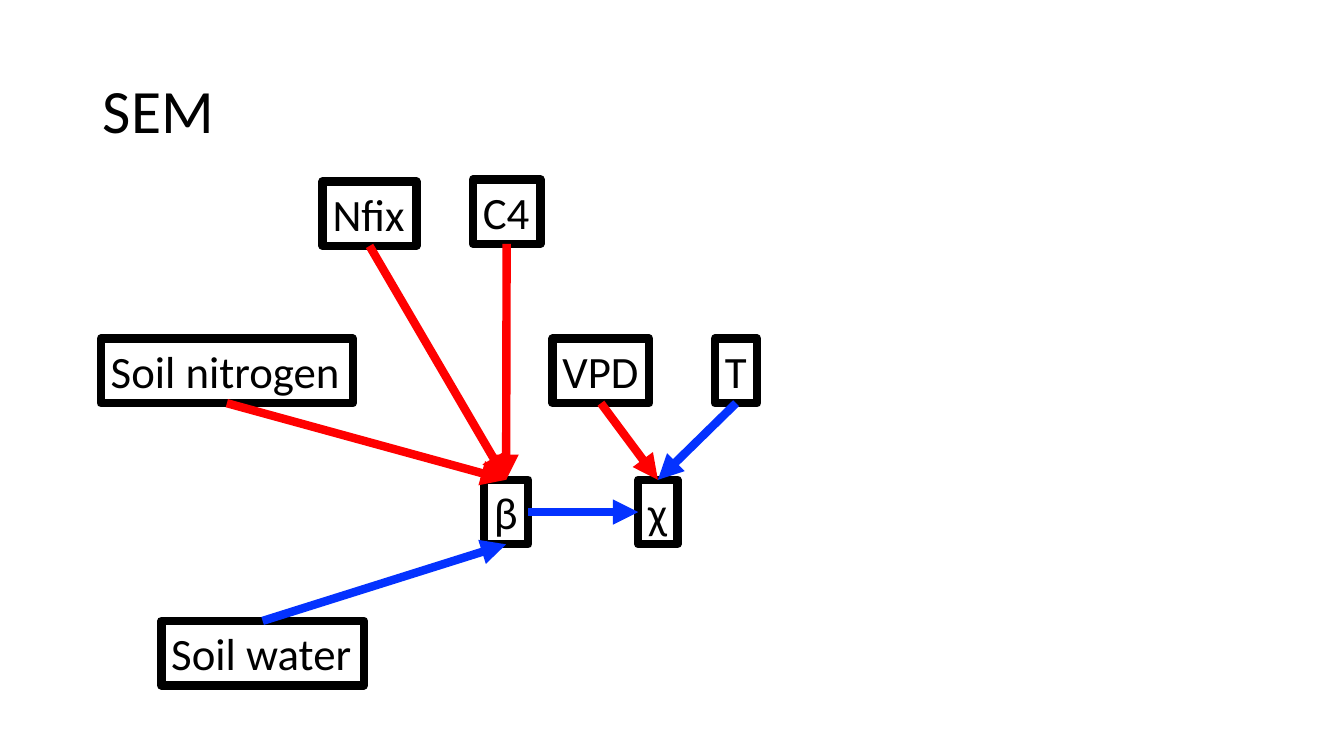
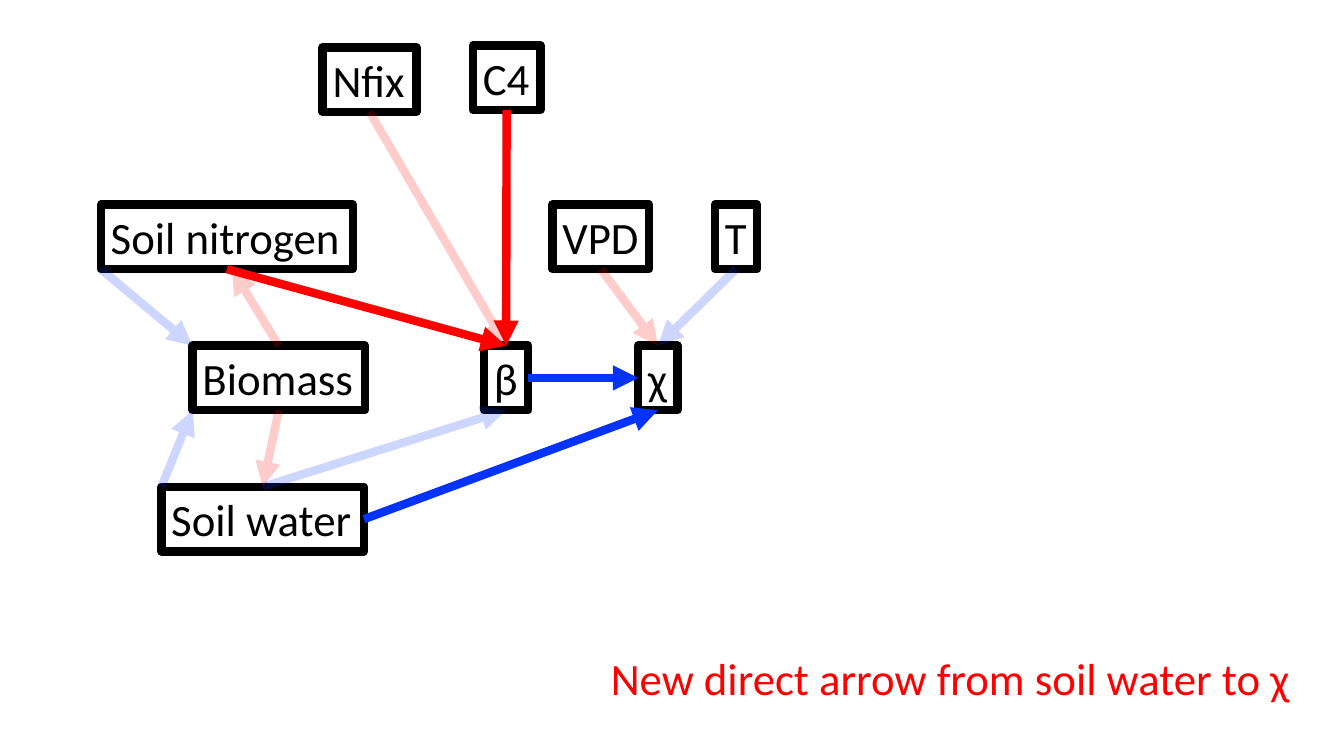
import lxml.etree
import pptx
import pptx.dml.color
import pptx.enum.shapes
import pptx.enum.text
import pptx.oxml.ns
import pptx.util
from pptx.util import Inches

# Shared style
FONT = "Calibri"
BLACK, RED, BLUE = "000000", "FF0000", "0432FF"
LINE_WIDTH = pptx.util.Pt(6)
BOX_HEIGHT = 0.64
FAINT = 20  # opacity in percent

# Variables shared by both models: left, top, width on the first slide
VARIABLES = {
    "Soil nitrogen": (1, 3.36, 2.5),
    "β": (4.8, 4.76, 0.44),
    "Soil water": (1.6, 6.16, 2.01),
    "χ": (6.33, 4.76, 0.39),
    "VPD": (5.48, 3.36, 0.96),
    "T": (7.09, 3.36, 0.42),
    "Nfix": (3.2, 1.8, 0.93),
    "C4": (4.69, 1.78, 0.67),
}
BIOMASS = {"Biomass": (1.91, 4.76, 1.71)}
RAISED = -1.33  # shift of the diagram on the slide without a title

# Connection sites, then box positions as fractions of width and height
SIDES = {"top": 0, "left": 1, "bottom": 2, "right": 3}
SPOTS = {"top left": (0, 0), "bottom left": (0, 1), "near bottom": (0.52, 1)}

# Arrows: source, its side, target, its side, colour
SHARED_ARROWS = [
    ("Soil nitrogen", "bottom", "β", "top", RED),
    ("Soil water", "top", "β", "bottom", BLUE),
    ("β", "right", "χ", "left", BLUE),
    ("VPD", "bottom", "χ", "top", RED),
    ("T", "bottom", "χ", "top", BLUE),
    ("Nfix", "bottom", "β", "top", RED),
    ("C4", "bottom", "β", "top", RED),
]
BIOMASS_ARROWS = [
    ("Biomass", "bottom", "Soil water", "top", RED),
    ("Soil nitrogen", "bottom left", "Biomass", "top left", BLUE),
    ("Biomass", "top", "Soil nitrogen", "near bottom", RED),
    ("Soil water", "top left", "Biomass", "bottom left", BLUE),
]
DIRECT_ARROW = ("Soil water", "right", "χ", "bottom", BLUE)
STRONG = {("Soil nitrogen", "β"), ("β", "χ"), ("C4", "β"), ("Soil water", "χ")}


def rgb(value):
    return pptx.dml.color.RGBColor.from_string(value)


def style_font(paragraph, size, color):
    paragraph.font.name = FONT
    paragraph.font.size = pptx.util.Pt(size)
    paragraph.font.color.rgb = rgb(color)


def add_title(slide, text):
    title = slide.shapes.title
    title.left, title.top = Inches(0.92), Inches(0.4)
    title.width, title.height = Inches(11.5), Inches(1.45)
    title.text_frame.text = text
    title.text_frame.vertical_anchor = pptx.enum.text.MSO_ANCHOR.MIDDLE
    paragraph = title.text_frame.paragraphs[0]
    paragraph.alignment = pptx.enum.text.PP_ALIGN.LEFT
    paragraph.line_spacing = 0.9
    style_font(paragraph, 44, BLACK)


def add_label(slide, text, left, top, width, color=BLACK):
    label = slide.shapes.add_textbox(
        Inches(left), Inches(top), Inches(width), Inches(BOX_HEIGHT))
    frame = label.text_frame
    frame.text = text
    frame.word_wrap = False
    frame.auto_size = pptx.enum.text.MSO_AUTO_SIZE.SHAPE_TO_FIT_TEXT
    style_font(frame.paragraphs[0], 32, color)
    return label


def add_variable(slide, name, left, top, width):
    box = add_label(slide, name, left, top, width)
    box.line.color.rgb = rgb(BLACK)
    box.line.width = LINE_WIDTH
    return box


def spot(box, place):
    across, down = SPOTS.get(place, (0, 0))
    return round(box.left + across * box.width), round(box.top + down * box.height)


def add_arrow(slide, boxes, source, source_side, target, target_side, color,
              opacity=100):
    start, end = boxes[source], boxes[target]
    arrow = slide.shapes.add_connector(
        pptx.enum.shapes.MSO_CONNECTOR.STRAIGHT,
        *spot(start, source_side), *spot(end, target_side))
    if source_side in SIDES:
        arrow.begin_connect(start, SIDES[source_side])
    if target_side in SIDES:
        arrow.end_connect(end, SIDES[target_side])
    arrow.line.color.rgb = rgb(color)
    arrow.line.width = LINE_WIDTH

    # Arrowhead, transparency and no shadow
    qn, add_element = pptx.oxml.ns.qn, lxml.etree.SubElement
    properties = arrow._element.spPr
    add_element(properties.find(qn("a:ln")), qn("a:tailEnd"), type="triangle")
    if opacity < 100:
        line_color = properties.find(".//" + qn("a:srgbClr"))
        add_element(line_color, qn("a:alpha"), val=str(opacity * 1000))
    add_element(properties, qn("a:effectLst"))


def add_variables(slide, variables, shift=0):
    return {name: add_variable(slide, name, left, top + shift, width)
            for name, (left, top, width) in variables.items()}


def build_model(presentation):
    slide = presentation.slides.add_slide(presentation.slide_layouts[5])
    add_title(slide, "SEM")
    boxes = add_variables(slide, VARIABLES)
    for arrow in SHARED_ARROWS:
        add_arrow(slide, boxes, *arrow)


def build_extended_model(presentation):
    slide = presentation.slides.add_slide(presentation.slide_layouts[6])
    boxes = add_variables(slide, VARIABLES | BIOMASS, RAISED)
    for arrow in SHARED_ARROWS + BIOMASS_ARROWS + [DIRECT_ARROW]:
        strong = (arrow[0], arrow[2]) in STRONG
        add_arrow(slide, boxes, *arrow, opacity=100 if strong else FAINT)
    add_label(slide, "New direct arrow from soil water to χ", 5.96, 6.41, 7, RED)


def main():
    presentation = pptx.Presentation()
    presentation.slide_width = Inches(13.33)
    presentation.slide_height = Inches(7.5)
    build_model(presentation)
    build_extended_model(presentation)
    presentation.save("out.pptx")


if __name__ == "__main__":
    main()
